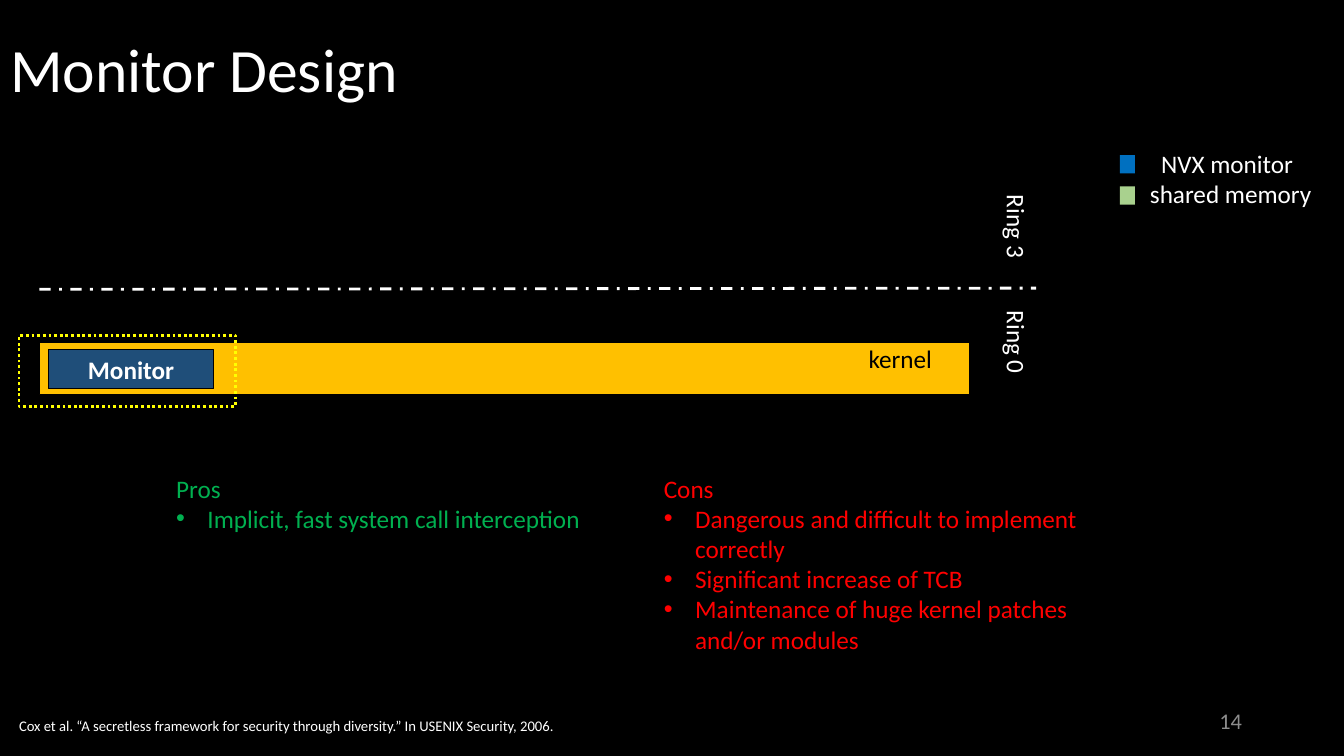
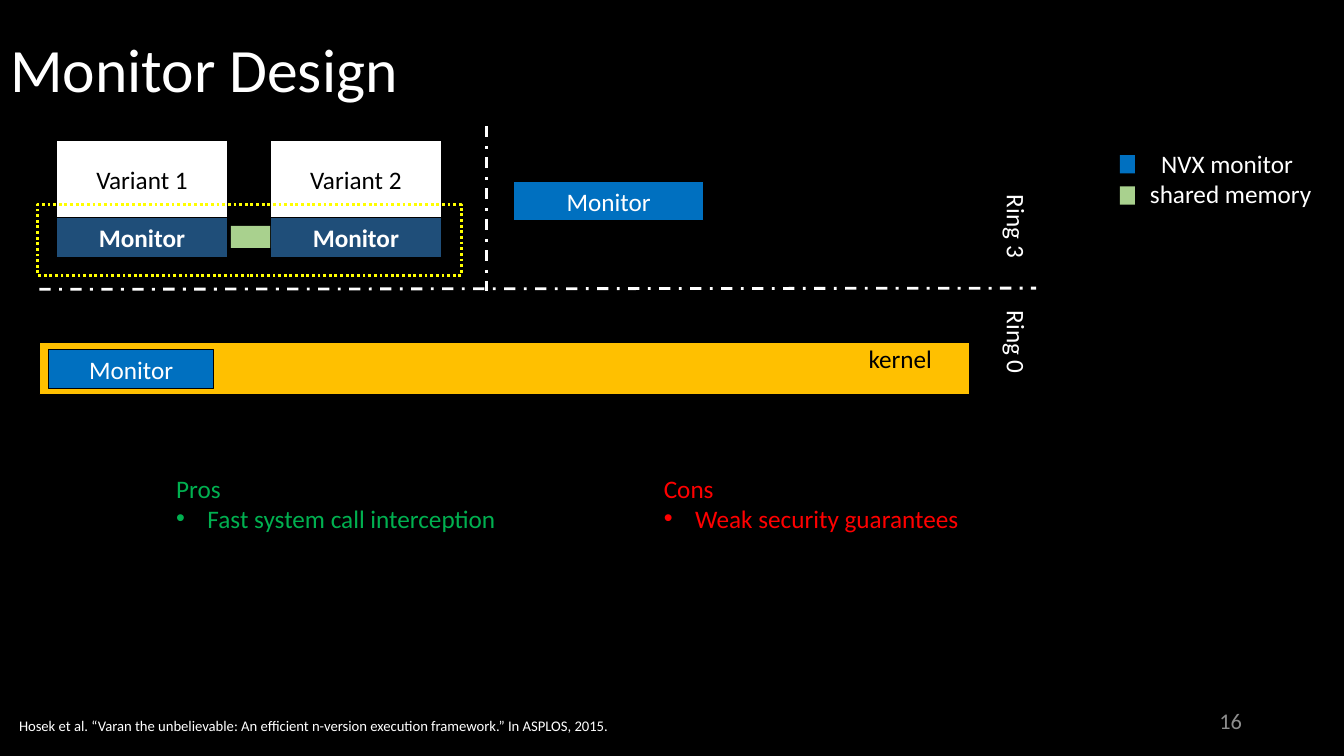
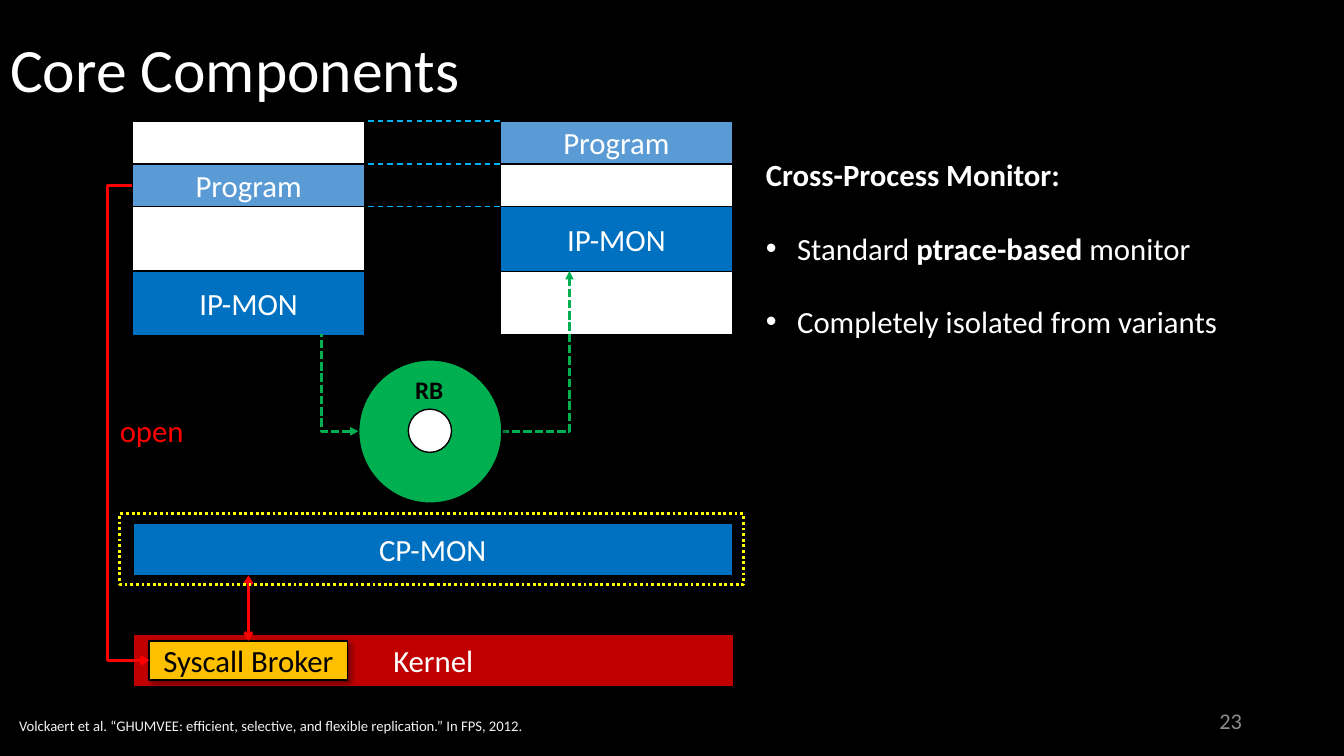
"""Builds three slides on monitor design and its core components."""
from lxml.etree import SubElement
from pptx import Presentation
from pptx.dml.color import RGBColor
from pptx.enum.dml import MSO_LINE as DASH
from pptx.enum.shapes import MSO_CONNECTOR as LINK, MSO_SHAPE as SHAPE
from pptx.enum.text import MSO_ANCHOR as ANCHOR, MSO_AUTO_SIZE as FIT, PP_ALIGN as ALIGN
from pptx.oxml.ns import qn
from pptx.util import Cm, Pt


class Theme:
    font = "Calibri"
    title_size, large, body, number_size, note_size = 44, 22, 18, 16, 10.5
    black = RGBColor(0x00, 0x00, 0x00)
    white = RGBColor(0xFF, 0xFF, 0xFF)
    pale = RGBColor(0xF2, 0xF2, 0xF2)
    grey = RGBColor(0x8C, 0x8C, 0x8C)
    blue = RGBColor(0x00, 0x70, 0xC0)
    navy = RGBColor(0x1F, 0x4E, 0x79)
    sky = RGBColor(0x5B, 0x9B, 0xD5)
    cyan = RGBColor(0x00, 0xB0, 0xF0)
    mint = RGBColor(0xA9, 0xD1, 0x8E)
    green = RGBColor(0x00, 0xB0, 0x50)
    amber = RGBColor(0xFF, 0xC0, 0x00)
    yellow = RGBColor(0xFF, 0xFF, 0x00)
    red = RGBColor(0xFF, 0x00, 0x00)
    crimson = RGBColor(0xC0, 0x00, 0x00)


def draw(slide, box, text="", kind=None, fill=None, line=None, width=1, dash=None,
         shadow=False, size=Theme.body, color=Theme.white, bold=False, align=None,
         anchor=None, insets=None, wrap=True, rotation=0, bullets=False,
         leading=None, gap=0):
    left, top, wide, high = (Cm(length) for length in box)
    if kind == "title":
        item = slide.shapes.title
        item.left, item.top, item.width, item.height = left, top, wide, high
    elif kind is None:
        item = slide.shapes.add_textbox(left, top, wide, high)
    else:
        item = slide.shapes.add_shape(kind, left, top, wide, high)
        item.shadow.inherit = False
        if fill is None:
            item.fill.background()
        else:
            item.fill.solid()
            item.fill.fore_color.rgb = fill
        if line is None:
            item.line.fill.background()
        else:
            item.line.color.rgb = line
            item.line.width = Pt(width)
            item.line.dash_style = dash
        if shadow:
            effects = item._element.spPr.find(qn("a:effectLst"))
            outer = SubElement(effects, qn("a:outerShdw"), blurRad=str(Pt(4)),
                               dist=str(Pt(3)), dir="2700000", rotWithShape="0")
            tint = SubElement(outer, qn("a:srgbClr"), val="000000")
            SubElement(tint, qn("a:alpha"), val="40000")
    item.rotation = rotation
    if not text:
        return item
    plain = kind is None or kind == "title"
    frame = item.text_frame
    frame.auto_size = FIT.NONE
    frame.word_wrap = wrap
    frame.vertical_anchor = anchor or (ANCHOR.TOP if kind is None else ANCHOR.MIDDLE)
    if insets:
        (frame.margin_left, frame.margin_top,
         frame.margin_right, frame.margin_bottom) = (Cm(inset) for inset in insets)
    for index, words in enumerate(text.split("\n")):
        para = frame.add_paragraph() if index else frame.paragraphs[0]
        para.alignment = align or (ALIGN.LEFT if plain else ALIGN.CENTER)
        para.line_spacing = leading
        para.space_before = Pt(gap if index else 0)
        if bullets and index:
            props = para._p.get_or_add_pPr()
            props.set("marL", str(Cm(0.79)))
            props.set("indent", str(Cm(-0.79)))
            SubElement(props, qn("a:buFont"), typeface="Arial")
            SubElement(props, qn("a:buChar"), char="•")
        for order, piece in enumerate(words.split("*")):
            if piece:
                run = para.add_run()
                run.text = piece
                run.font.name, run.font.size = Theme.font, Pt(size)
                run.font.bold = bold or order % 2 == 1
                run.font.color.rgb = color
    return item


def link(slide, start, end, color, width=2, dash=None, head=None, tail=None,
         kind=LINK.STRAIGHT, preset=None, bend=None):
    line = slide.shapes.add_connector(kind, *(Cm(length) for length in start + end))
    line.line.color.rgb = color
    line.line.width = Pt(width)
    line.line.dash_style = dash
    outline = line.line._get_or_add_ln()
    for tag, arrow in (("a:headEnd", head), ("a:tailEnd", tail)):
        if arrow:
            SubElement(outline, qn(tag), type=arrow)
    shape_props = line._element.spPr
    geometry = shape_props.find(qn("a:prstGeom"))
    if preset:
        geometry.set("prst", preset)
    if bend is not None:
        SubElement(geometry.find(qn("a:avLst")), qn("a:gd"), name="adj1", fmla=f"val {bend}")
    SubElement(shape_props, qn("a:effectLst"))
    return line


deck = Presentation()
deck.slide_width, deck.slide_height = Cm(33.87), Cm(19.05)
backdrop = deck.slide_master.background.fill
backdrop.solid()
backdrop.fore_color.rgb = Theme.black

pages = []
for title, number, source, source_color in (
    ("Monitor Design", "14", "Cox et al. “A secretless framework for security through "
     "diversity.” In USENIX Security, 2006.", Theme.white),
    ("Monitor Design", "16", "Hosek et al. “Varan the unbelievable: An efficient n-version "
     "execution framework.” In ASPLOS, 2015.", Theme.white),
    ("Core Components", "23", "Volckaert et al. “GHUMVEE: efficient, selective, and "
     "flexible replication.” In FPS, 2012.", Theme.pale),
):
    page = deck.slides.add_slide(deck.slide_layouts[5])
    draw(page, (0, 0, 30.89, 3.68), title, "title", size=Theme.title_size, leading=0.9)
    draw(page, (23.93, 17.65, 7.62, 1.02), number, size=Theme.number_size,
         color=Theme.grey, align=ALIGN.RIGHT, anchor=ANCHOR.MIDDLE)
    draw(page, (0.23, 17.93, 26.16, 0.71), source, size=Theme.note_size, color=source_color)
    pages.append(page)
kernel_design, process_design, components = pages

for page, monitor_fill, chosen, pros, cons, cons_height in (
    (kernel_design, Theme.navy, True, "Implicit, fast system call interception",
     "Dangerous and difficult to implement correctly\nSignificant increase of TCB\n"
     "Maintenance of huge kernel patches and/or modules", 4.88),
    (process_design, Theme.blue, False, "Fast system call interception",
     "Weak security guarantees", 1.8),
):
    draw(page, (0.99, 8.64, 23.44, 1.3), "kernel", SHAPE.RECTANGLE, Theme.amber,
         Theme.black, 0.75, color=Theme.black, align=ALIGN.RIGHT, anchor=ANCHOR.TOP,
         insets=(0, 0, 0.94, 0))
    draw(page, (1.22, 8.81, 4.17, 0.99), "Monitor", SHAPE.RECTANGLE, monitor_fill,
         Theme.black, 0.75, bold=chosen)
    link(page, (0.99, 7.29), (26.11, 7.26), Theme.white, dash=DASH.DASH_DOT)
    for ring, ring_top in (("Ring 0", 8.66), ("Ring 3", 5.74)):
        draw(page, (24.03, ring_top, 3.18, 1.02), ring, rotation=90)
    for row, (meaning, swatch, label_left) in enumerate((
        ("NVX monitor", Theme.blue, 29.01), ("shared memory", Theme.mint, 28.73),
    )):
        draw(page, (28.22, 3.91 + 0.79 * row, 0.38, 0.46), kind=SHAPE.RECTANGLE, fill=swatch)
        draw(page, (label_left, 3.61 + 0.76 * row, 5.08, 1.02), meaning)
    draw(page, (4.19, 11.79, 11.23, 1.8), "Pros\n" + pros, color=Theme.green, bullets=True)
    draw(page, (16.48, 11.79, 11.23, cons_height), "Cons\n" + cons, color=Theme.red,
         bullets=True)

for variant, variant_left in (("Variant 1", 1.42), ("Variant 2", 6.81)):
    draw(process_design, (variant_left, 3.53, 4.32, 2.95), variant, SHAPE.RECTANGLE,
         Theme.white, Theme.black, color=Theme.black, anchor=ANCHOR.TOP,
         insets=(0, 0.62, 0, 0))
    draw(process_design, (variant_left, 5.49, 4.32, 0.99), "Monitor", SHAPE.RECTANGLE,
         Theme.navy, Theme.black, 0.75, bold=True)
draw(process_design, (5.82, 5.69, 0.99, 0.56), kind=SHAPE.RECTANGLE, fill=Theme.mint)
draw(process_design, (12.95, 4.57, 4.78, 0.99), "Monitor", SHAPE.RECTANGLE, Theme.blue,
     Theme.black, 0.75)
link(process_design, (12.27, 3.18), (12.27, 7.34), Theme.white, dash=DASH.DASH_DOT)

draw(components, (19.05, 3.81, 12.01, 4.95),
     "*Cross-Process Monitor:*\nStandard *ptrace-based* monitor\n"
     "Completely isolated from variants", size=Theme.large, wrap=False, bullets=True, gap=26)
for column_left, program_top, ip_mon_top in ((3.33, 4.13, 6.83), (12.6, 3.05, 5.21)):
    draw(components, (column_left, 3.05, 5.87, 5.38), kind=SHAPE.RECTANGLE,
         fill=Theme.white, line=Theme.black, shadow=True)
    for part, part_top, part_height, part_fill in (
        ("Program", program_top, 1.08, Theme.sky), ("IP-MON", ip_mon_top, 1.63, Theme.blue),
    ):
        draw(components, (column_left, part_top, 5.87, part_height), part, SHAPE.RECTANGLE,
             part_fill, Theme.black, size=Theme.large)
for level in (3.05, 4.13, 5.21):
    link(components, (12.6, level), (9.2, level), Theme.cyan, 1, DASH.DASH)

draw(components, (3.35, 15.98, 15.14, 1.32), "Kernel", SHAPE.RECTANGLE, Theme.crimson,
     Theme.black, shadow=True, size=Theme.large)
draw(components, (3.35, 13.18, 15.11, 1.32), "CP-MON", SHAPE.RECTANGLE, Theme.blue,
     Theme.black, size=Theme.large)
broker = draw(components, (3.76, 16.15, 5, 0.99), "Syscall Broker", SHAPE.RECTANGLE,
              Theme.amber, Theme.black, shadow=True, size=Theme.large, color=Theme.black)
link(components, (3.33, 4.67), (3.76, 16.64), Theme.red, tail="arrow", kind=LINK.ELBOW,
     bend=-143900)
draw(components, (2.77, 10.24, 2.13, 1.19), "open", size=Theme.large, color=Theme.red,
     wrap=False)
broker_link = link(components, (6.26, 16.15), (6.26, 14.5), Theme.red, head="arrow",
                   tail="arrow")
broker_link.begin_connect(broker, 0)

for buffer_side, ip_mon_edge, ends in (
    ((9.04, 10.87), (8.1, 8.41), {"head": "triangle"}),
    ((12.62, 10.87), (14.35, 6.83), {"tail": "triangle"}),
):
    link(components, buffer_side, ip_mon_edge, Theme.green, dash=DASH.SQUARE_DOT,
         kind=LINK.ELBOW, preset="bentConnector2", **ends)
draw(components, (9.04, 9.07, 3.61, 3.61), kind=SHAPE.OVAL, fill=Theme.green,
     line=Theme.black, shadow=True)
draw(components, (10.29, 10.31, 1.09, 1.09), kind=SHAPE.OVAL, fill=Theme.white,
     line=Theme.black)
draw(components, (10.21, 9.3, 1.63, 1.02), "RB", color=Theme.black, bold=True)

for page, focus in (
    (kernel_design, (0.48, 8.46, 5.46, 1.78)),
    (process_design, (0.94, 5.16, 10.69, 1.78)),
    (components, (3.02, 12.95, 15.72, 1.78)),
):
    draw(page, focus, kind=SHAPE.RECTANGLE, line=Theme.yellow, width=2, dash=DASH.ROUND_DOT)

deck.save("out.pptx")
